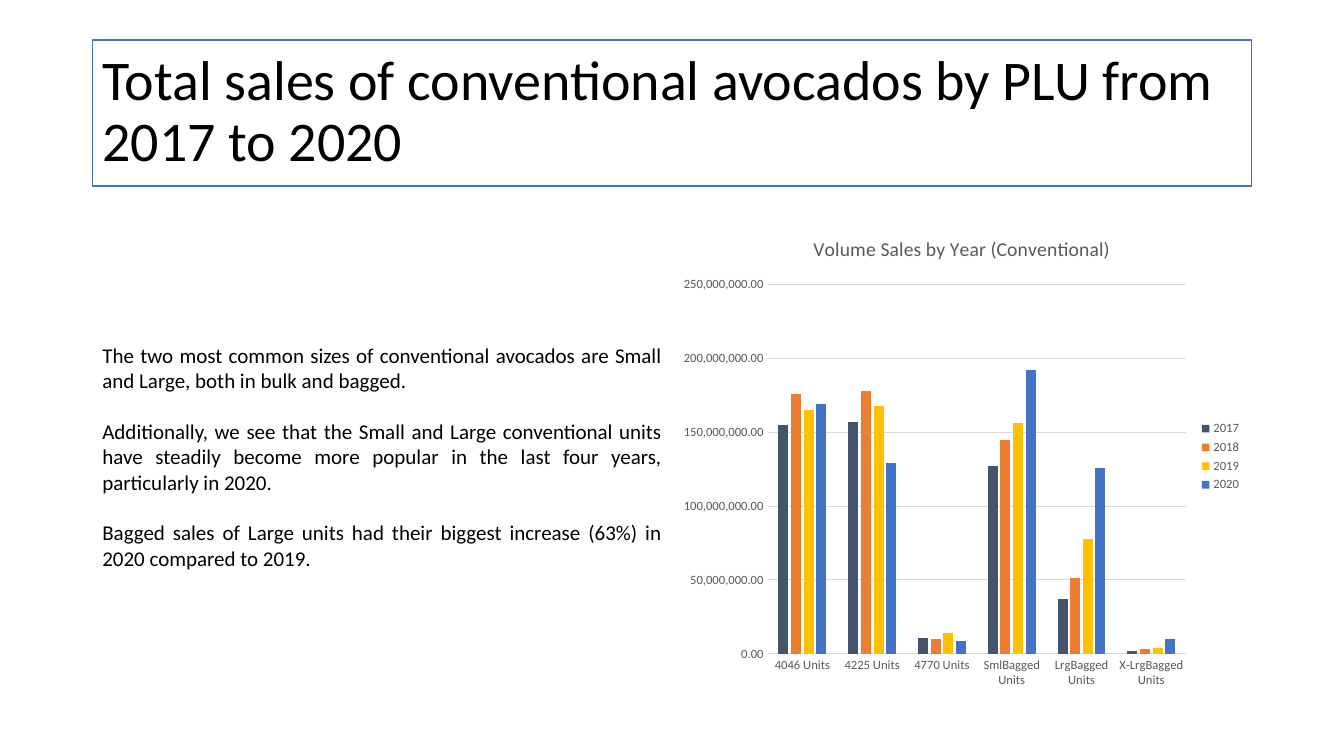
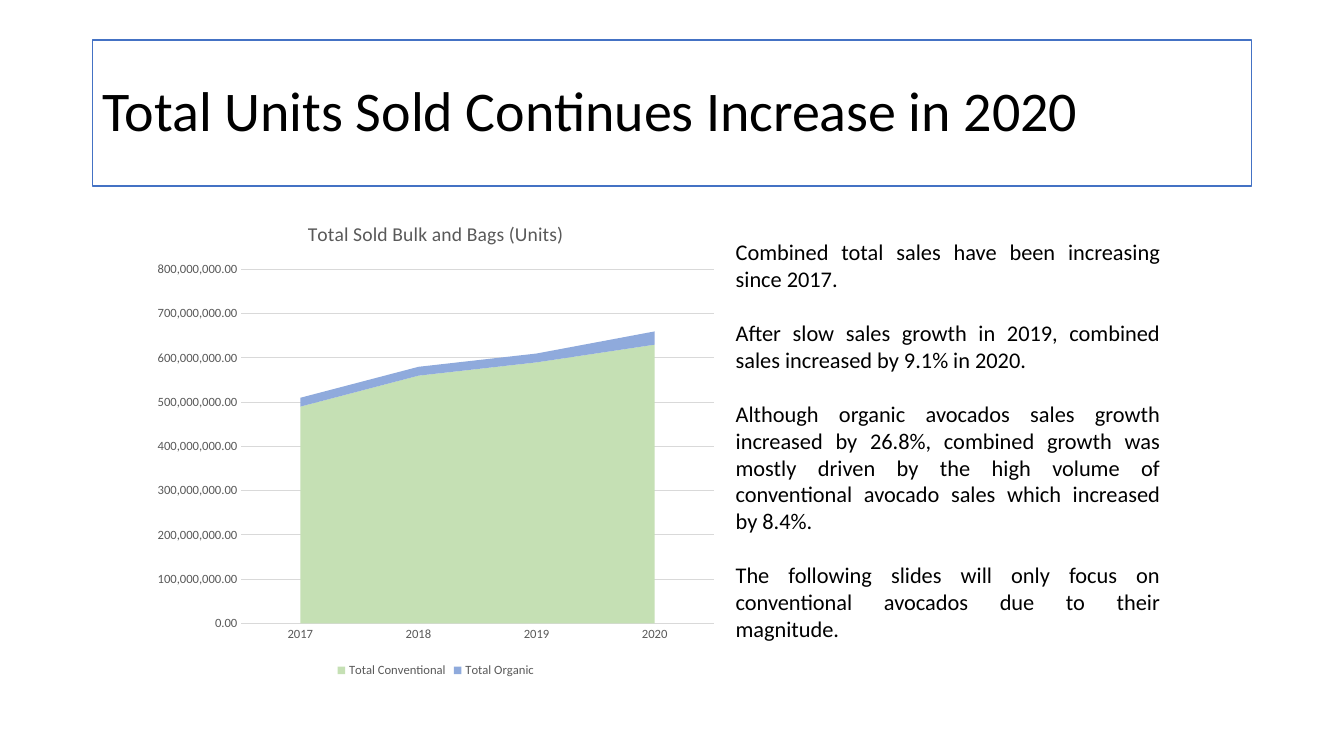
"""Build two slides on avocado sales, each with a framed title, a chart and commentary."""
from pptx import Presentation
from pptx.chart.data import CategoryChartData
from pptx.dml.color import RGBColor
from pptx.enum.chart import XL_CHART_TYPE, XL_LEGEND_POSITION, XL_TICK_MARK
from pptx.enum.text import MSO_ANCHOR, MSO_AUTO_SIZE, PP_ALIGN
from pptx.oxml.ns import qn
from pptx.util import Cm, Pt

COLUMNS = XL_CHART_TYPE.COLUMN_CLUSTERED
STACKED_AREA = XL_CHART_TYPE.AREA_STACKED
LEGEND_RIGHT = XL_LEGEND_POSITION.RIGHT
LEGEND_BOTTOM = XL_LEGEND_POSITION.BOTTOM
NO_TICKS = XL_TICK_MARK.NONE
LEFT, JUSTIFY = PP_ALIGN.LEFT, PP_ALIGN.JUSTIFY
MIDDLE = MSO_ANCHOR.MIDDLE
FIXED_SIZE = MSO_AUTO_SIZE.NONE

COLORS = {
    "white": "FFFFFF", "black": "000000", "gray": "595959", "rule": "D9D9D9",
    "blue": "4472C4", "slate": "44546A", "orange": "ED7D31", "gold": "FFC000",
    "green": "C5E0B4", "periwinkle": "8FAADC",
}
MILLION = 1_000_000
LINE_HEIGHT = 1.22
TITLE_BOX = [Cm(2.33), Cm(1.01), Cm(29.21), Cm(3.68)]
CHART_SIZE = [Cm(14.6), Cm(12.1)]

SLIDES = [
    {
        "title": "Total sales of conventional avocados by PLU from 2017 to 2020",
        "chart_title": "Volume Sales by Year (Conventional)",
        "chart_type": COLUMNS,
        "chart_corner": [Cm(16.94), Cm(5.46)],
        "legend": LEGEND_RIGHT,
        "axis_max": 250, "axis_step": 50,
        "categories": ["4046 Units", "4225 Units", "4770 Units",
                       "SmlBagged Units", "LrgBagged Units", "X-LrgBagged Units"],
        "series": [
            ("2017", "slate", [155, 157, 11, 127, 37, 2]),
            ("2018", "orange", [176, 178, 10, 145, 51, 3]),
            ("2019", "gold", [165, 168, 14, 156, 78, 4]),
            ("2020", "blue", [169, 129, 9, 192, 126, 10]),
        ],
        "text_box": [Cm(2.33), Cm(8.51), Cm(14.6), Cm(6.02)],
        "text_size": 15,
        "comments": [
            "The two most common sizes of conventional avocados are Small and Large, "
            "both in bulk and bagged.",
            "Additionally, we see that the Small and Large conventional units have "
            "steadily become more popular in the last four years, particularly in 2020.",
            "Bagged sales of Large units had their biggest increase (63%) in 2020 "
            "compared to 2019.",
        ],
    },
    {
        "title": "Total Units Sold Continues Increase in 2020",
        "chart_title": "Total Sold Bulk and Bags (Units)",
        "chart_type": STACKED_AREA,
        "chart_corner": [Cm(3.68), Cm(5.08)],
        "legend": LEGEND_BOTTOM,
        "axis_max": 800, "axis_step": 100,
        "categories": ["2017", "2018", "2019", "2020"],
        "series": [
            ("Total Conventional", "green", [490, 560, 590, 630]),
            ("Total Organic", "periwinkle", [20, 20, 20, 30]),
        ],
        "text_box": [Cm(18.29), Cm(5.87), Cm(11.2), Cm(10.52)],
        "text_size": 16,
        "comments": [
            "Combined total sales have been increasing since 2017.",
            "After slow sales growth in 2019, combined sales increased by 9.1% in 2020.",
            "Although organic avocados sales growth increased by 26.8%, combined growth "
            "was mostly driven by the high volume of conventional avocado sales which "
            "increased by 8.4%.",
            "The following slides will only focus on conventional avocados due to "
            "their magnitude.",
        ],
    },
]


def rgb(color):
    """Return the named palette colour."""
    return RGBColor.from_string(COLORS[color])


def style_font(font, size, color):
    """Apply the deck's typeface with a size and a colour."""
    for attribute, value in {"name": "Calibri", "size": Pt(size), "bold": False}.items():
        setattr(font, attribute, value)
    font.color.rgb = rgb(color)


deck = Presentation()
deck.slide_width, deck.slide_height = Cm(33.87), Cm(19.05)
title_only = deck.slide_layouts[5]

for content in SLIDES:
    slide = deck.slides.add_slide(title_only)

    title = slide.shapes.title
    title.left, title.top, title.width, title.height = TITLE_BOX
    title.fill.solid()
    title.fill.fore_color.rgb = rgb("white")
    title.line.color.rgb = rgb("blue")
    title.line.width = Pt(1)
    heading = title.text_frame
    heading.text = content["title"]
    heading_format = {"auto_size": FIXED_SIZE, "vertical_anchor": MIDDLE, "word_wrap": True}
    for attribute, value in heading_format.items():
        setattr(heading, attribute, value)
    heading_line = heading.paragraphs[0]
    heading_line.alignment = LEFT
    heading_line.line_spacing = 0.9
    style_font(heading_line.runs[0].font, 40, "black")

    sales = CategoryChartData(number_format="#,##0.00")
    sales.categories = content["categories"]
    for name, color, millions in content["series"]:
        sales.add_series(name, [value * MILLION for value in millions])
    chart = slide.shapes.add_chart(
        content["chart_type"], *content["chart_corner"], *CHART_SIZE, sales).chart
    style_font(chart.font, 10, "black")

    chart.has_title = True
    chart.chart_title.text_frame.text = content["chart_title"]
    style_font(chart.chart_title.text_frame.paragraphs[0].runs[0].font, 14, "gray")
    chart.has_legend = True
    chart.legend.position = content["legend"]
    chart.legend.include_in_layout = False
    style_font(chart.legend.font, 9, "gray")

    plot = chart.plots[0]
    plot.vary_by_categories = False
    if content["chart_type"] == COLUMNS:
        plot.gap_width = 219
        plot.overlap = -27
    for series, (name, color, millions) in zip(plot.series, content["series"]):
        series.format.fill.solid()
        series.format.fill.fore_color.rgb = rgb(color)

    units_axis, category_axis = chart.value_axis, chart.category_axis
    for axis in (units_axis, category_axis):
        axis.major_tick_mark = axis.minor_tick_mark = NO_TICKS
        style_font(axis.tick_labels.font, 9, "gray")
    category_axis.has_major_gridlines = False
    units_axis.has_major_gridlines = True
    for rule in (category_axis.format.line, units_axis.major_gridlines.format.line):
        rule.color.rgb = rgb("rule")
        rule.width = Pt(0.75)
    units_axis.format.line.fill.background()
    units_axis.minimum_scale = 0
    units_axis.maximum_scale = content["axis_max"] * MILLION
    units_axis.major_unit = content["axis_step"] * MILLION
    units_axis.tick_labels.number_format = "#,##0.00"
    units_axis.tick_labels.number_format_is_linked = False
    for crossing in chart.element.iter(qn("c:crossBetween")):
        crossing.set("val", "between")

    commentary = slide.shapes.add_textbox(*content["text_box"]).text_frame
    commentary.word_wrap = True
    commentary.text = "\n".join(content["comments"])
    for index, comment in enumerate(commentary.paragraphs):
        comment.alignment = JUSTIFY
        if index:
            comment.space_before = Pt(round(content["text_size"] * LINE_HEIGHT, 1))
        style_font(comment.runs[0].font, content["text_size"], "black")

deck.save("out.pptx")
